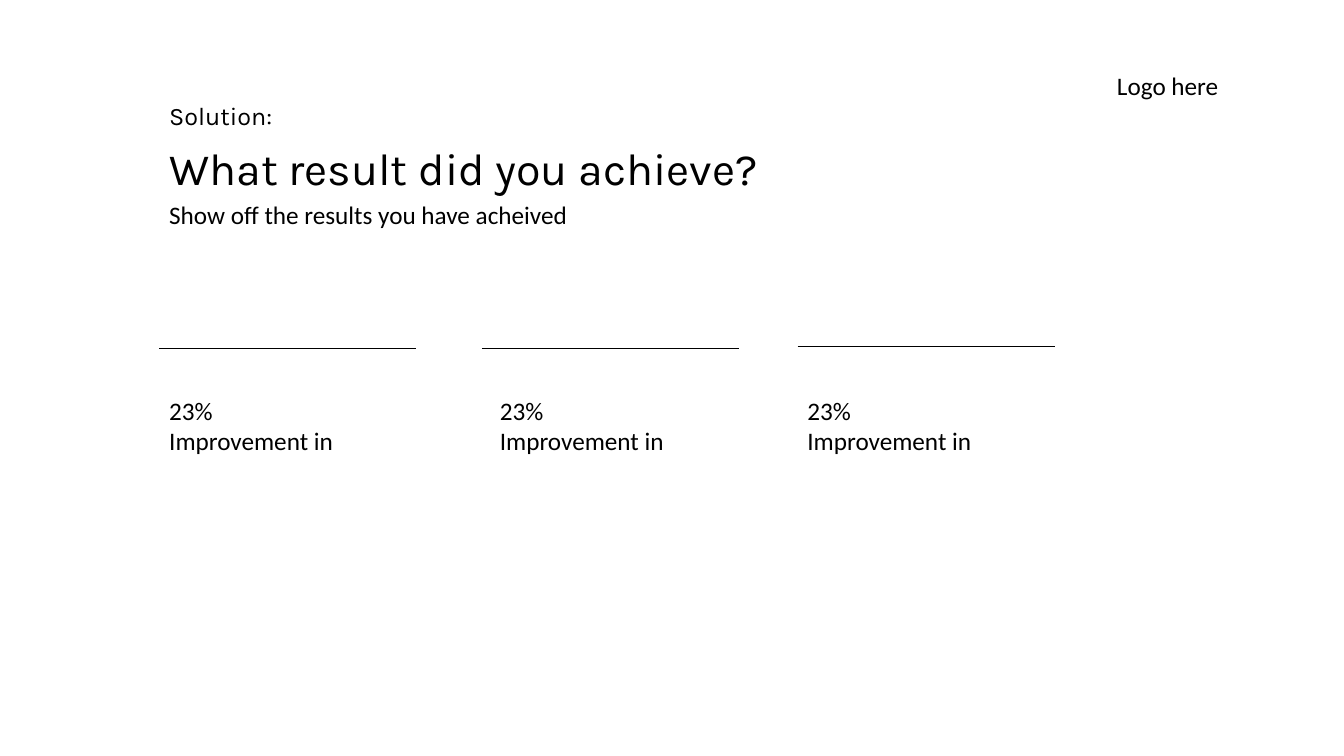
from pptx import Presentation
from pptx import util as u
from pptx.dml.color import RGBColor
from pptx.enum import shapes, text
from pptx.oxml.ns import qn
from lxml import etree

INK = "000000"


def paint(color):
    return RGBColor.from_string(color)


def fill_text(shape, lines, size=18, face="Calibri", wrap=False):
    frame = shape.text_frame
    frame.word_wrap = wrap
    frame.auto_size = text.MSO_AUTO_SIZE.SHAPE_TO_FIT_TEXT
    frame.vertical_anchor = text.MSO_ANCHOR.TOP
    frame.text = "\n".join(lines)
    for para in frame.paragraphs:
        para.alignment = text.PP_ALIGN.LEFT
        para.space_before = u.Pt(0)
        para.font.size = u.Pt(size)
        para.font.name = face
        para.font.color.rgb = paint(INK)


def add_text(slide, left, top, width, height, lines, **style):
    box = slide.shapes.add_textbox(*map(u.Inches, (left, top, width, height)))
    fill_text(box, lines, **style)


def add_rule(slide, left, top, width):
    rule = slide.shapes.add_connector(
        shapes.MSO_CONNECTOR.STRAIGHT,
        u.Inches(left), u.Inches(top), u.Inches(left + width), u.Inches(top))
    rule.line.color.rgb = paint(INK)
    rule.line.width = u.Pt(0.5)
    etree.SubElement(rule._element.spPr, qn("a:effectLst"))


def add_header(slide, left, top):
    # Label, title and subtitle share a left edge
    add_text(slide, left, top, 1.23, 0.4, ["Solution:"], face="Karla")
    title = slide.shapes.title
    title.left, title.top = u.Inches(left), u.Inches(top + 0.4)
    title.width, title.height = u.Inches(6.09), u.Inches(0.64)
    fill_text(title, ["What result did you achieve?"], size=32, face="Karla")
    add_text(slide, left, top + 0.98, 4.2, 0.4,
             ["Show off the results you have acheived"])


def add_result(slide, left, top, inset, lines):
    # Rule at the top, figure and caption below
    add_rule(slide, left, top, 2.55)
    add_text(slide, left + inset, 3.87, 1.85, 0.71, lines)


def main():
    deck = Presentation()
    deck.slide_width, deck.slide_height = u.Inches(13.33), u.Inches(7.5)
    slide = deck.slides.add_slide(deck.slide_layouts[5])
    slide.background.fill.solid()
    slide.background.fill.fore_color.rgb = paint("FFFFFF")

    # Logo label
    add_text(slide, 10.98, 0.65, 1.97, 0.4, ["Logo here"], wrap=True)
    add_header(slide, 1.58, 0.95)

    # Results: left edge, rule height, text inset
    for left, top, inset in ((1.58, 3.46, 0), (4.78, 3.46, 0.08), (7.91, 3.44, 0)):
        add_result(slide, left, top, inset, ["23%", "Improvement in"])

    deck.save("out.pptx")


if __name__ == "__main__":
    main()
